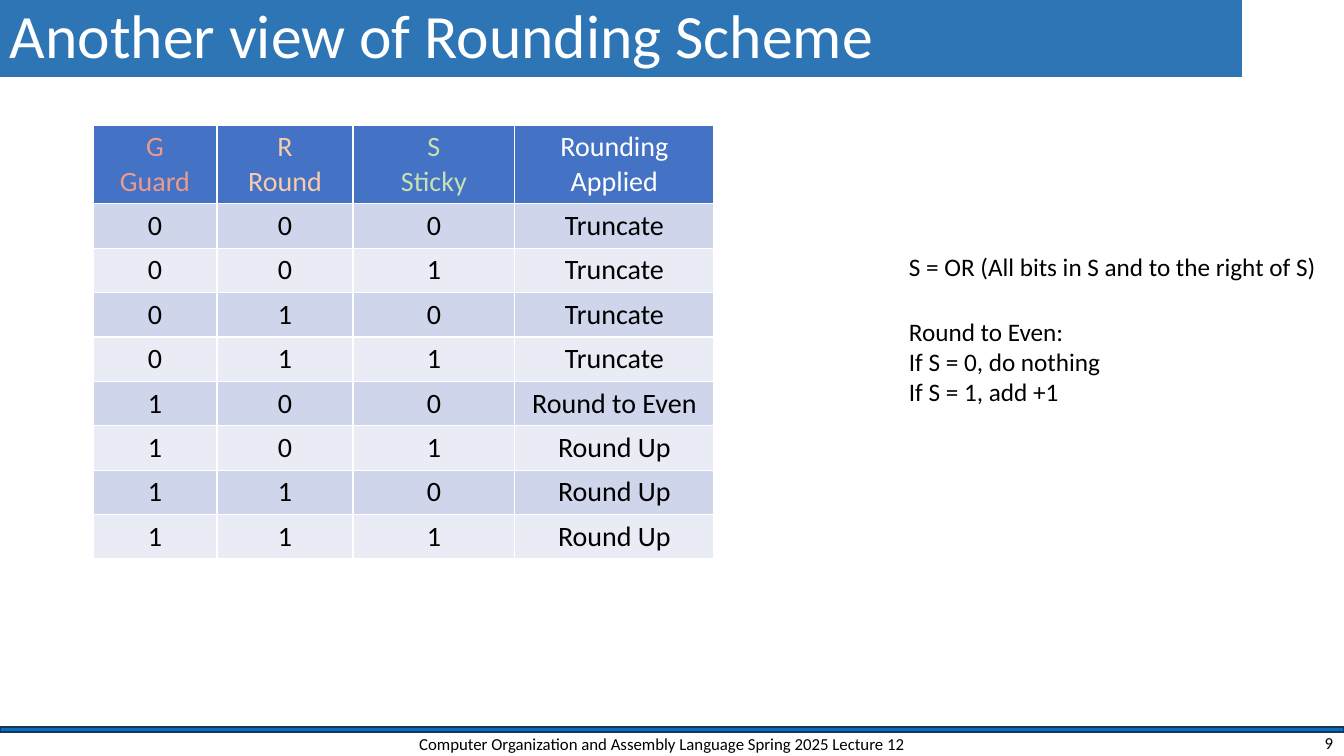
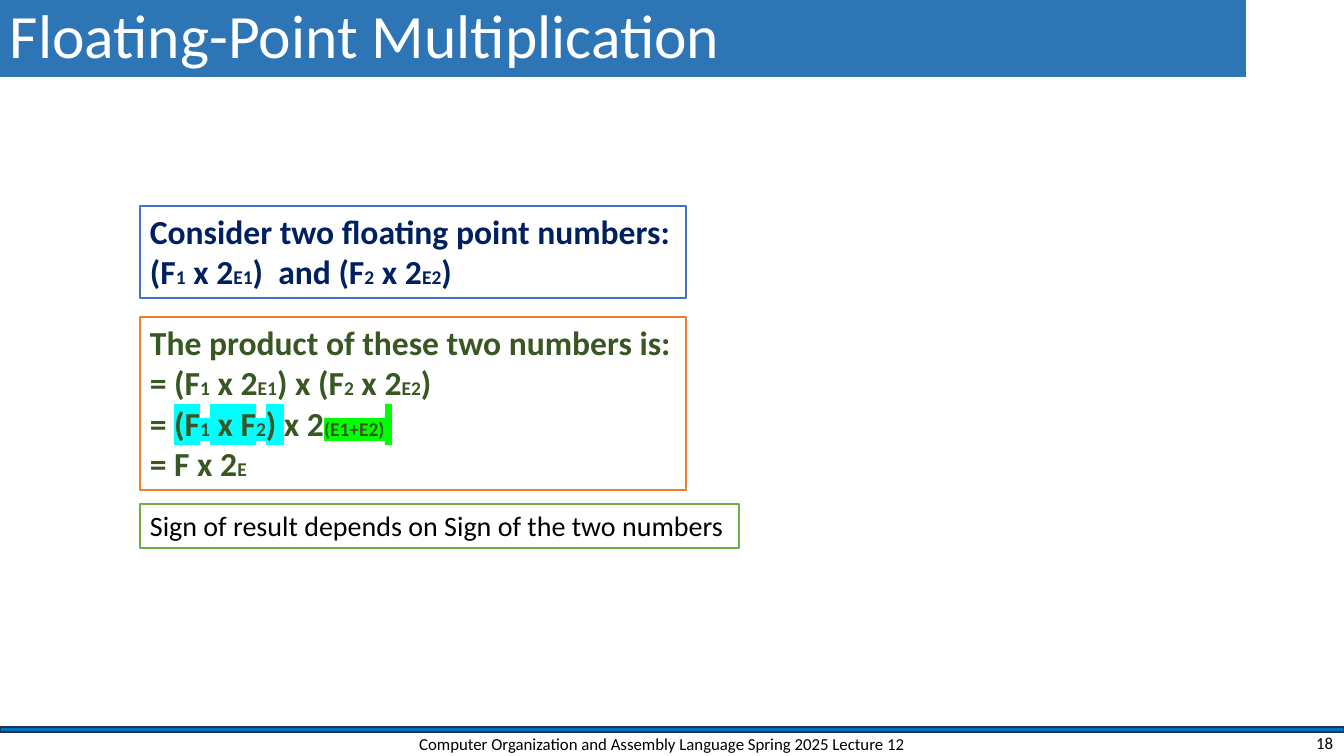
from lxml.etree import SubElement
from pptx import Presentation
from pptx.dml.color import RGBColor
from pptx.enum.shapes import MSO_SHAPE as Shape
from pptx.enum.text import MSO_ANCHOR as Anchor, MSO_AUTO_SIZE as AutoSize, PP_ALIGN as Align
from pptx.oxml.ns import qn
from pptx.util import Pt

PX = 9071  # EMU in one px, 1344 px across the slide
FONT = "Calibri"
WHITE, BLACK, NAVY, GREEN = "FFFFFF", "000000", "002060", "385723"
TITLE_BLUE, BAR_BLUE, BAR_EDGE = "2E75B6", "0070C0", "1E3256"
HEADER_BLUE, BANDS = "4472C4", ("CFD5EA", "E9EBF5")
CYAN, LIME = "00FFFF", "00FF00"
SUB, SUP = -25, 30
FOOTER = "Computer Organization and Assembly Language Spring 2025 Lecture 12"


def color(value):
    return RGBColor.from_string(value)


def add_box(slide, bounds, lines=(), size=18, text_color=BLACK, fill=None, line=None,
            bold=False, align=Align.LEFT, anchor=Anchor.TOP, wrap=False, spacing=None):
    """Each line is a string or a list of (text, baseline, highlight) runs."""
    bounds = [length * PX for length in bounds]
    if fill:
        shape = slide.shapes.add_shape(Shape.RECTANGLE, *bounds)
        shape.shadow.inherit = False
        shape.fill.solid()
        shape.fill.fore_color.rgb = color(fill)
        if line:
            shape.line.color.rgb = color(line)
            shape.line.width = Pt(1)
        else:
            shape.line.fill.background()
    else:
        shape = slide.shapes.add_textbox(*bounds)

    frame = shape.text_frame
    frame.word_wrap = wrap
    frame.vertical_anchor = anchor
    frame.auto_size = AutoSize.NONE if wrap else AutoSize.SHAPE_TO_FIT_TEXT
    for index, content in enumerate(lines):
        paragraph = frame.add_paragraph() if index else frame.paragraphs[0]
        paragraph.alignment = align
        paragraph.line_spacing = spacing
        runs = [(content, 0, None)] if isinstance(content, str) else content
        for text, baseline, highlight in runs:
            run = paragraph.add_run()
            run.text = text
            run.font.name = FONT
            run.font.size = Pt(size)
            run.font.bold = bold
            run.font.color.rgb = color(text_color)
            properties = run.font._element if hasattr(run.font, "_element") else run.font._rPr
            if baseline:
                properties.set("baseline", str(baseline))
            if highlight:
                mark = SubElement(properties, qn("a:highlight"))
                SubElement(mark, qn("a:srgbClr")).set("val", highlight)
                properties.find(qn("a:solidFill")).addnext(mark)
    return shape


presentation = Presentation()
presentation.slide_width = 1344 * PX
presentation.slide_height = 756 * PX

# Shared bar, title band and footer
slides = []
for title, title_width, number in (
    ("Another view of Rounding Scheme", 1242, "9"),
    ("Floating-Point Multiplication", 1246, "18"),
):
    slide = presentation.slides.add_slide(presentation.slide_layouts[6])
    add_box(slide, (0, 727, 1344, 5), fill=BAR_BLUE, line=BAR_EDGE, wrap=True)
    add_box(slide, (0, 0, title_width, 77), [title], 44, WHITE, fill=TITLE_BLUE,
            anchor=Anchor.MIDDLE, wrap=True, spacing=0.9)
    add_box(slide, (395, 730, 534, 28), [FOOTER], 12,
            align=Align.CENTER, anchor=Anchor.MIDDLE, wrap=True)
    add_box(slide, (1041, 730, 302, 25), [number], 12,
            align=Align.RIGHT, anchor=Anchor.MIDDLE, wrap=True)
    slides.append(slide)
rounding_slide, product_slide = slides

# Rounding table
headers = ("G\nGuard", "R\nRound", "S\nSticky", "Rounding Applied")
header_colors = ("EC9A8C", "F8CBAD", "C5E0B4", WHITE)
actions = ["Truncate"] * 4 + ["Round to Even"] + ["Round Up"] * 3
rows = [headers] + [(*f"{bits:03b}", action) for bits, action in enumerate(actions)]
column_widths = (124, 136, 162, 199)
header_height, row_height = 78, 44
table = rounding_slide.shapes.add_table(
    len(rows), len(headers), 93 * PX, 125 * PX, sum(column_widths) * PX,
    (header_height + row_height * len(actions)) * PX).table
for column, width in zip(table.columns, column_widths):
    column.width = width * PX
for row_index, row in enumerate(rows):
    table.rows[row_index].height = (row_height if row_index else header_height) * PX
    for column_index, text in enumerate(row):
        cell = table.cell(row_index, column_index)
        cell.fill.solid()
        cell.fill.fore_color.rgb = color(BANDS[(row_index - 1) % 2] if row_index else HEADER_BLUE)
        cell.text_frame.text = text
        for paragraph in cell.text_frame.paragraphs:
            paragraph.alignment = Align.CENTER
            font = paragraph.runs[0].font
            font.name = FONT
            font.size = Pt(20)
            font.bold = False
            font.color.rgb = color(BLACK if row_index else header_colors[column_index])

# Rounding notes
add_box(rounding_slide, (899, 246, 432, 40), ["S = OR (All bits in S and to the right of S)"])
add_box(rounding_slide, (899, 311, 215, 102),
        ["Round to Even:", "If S = 0, do nothing", "If S = 1, add +1"])

# Multiplication boxes
first_factor = [("1", SUB, None), (" x 2", 0, None), ("E1", SUP, None)]
second_factor = [("2", SUB, None), (" x 2", 0, None), ("E2", SUP, None), (")", 0, None)]
operands = [("(F", 0, None), *first_factor, (")  and (F", 0, None), *second_factor]
product = [("= (F", 0, None), *first_factor, (") x (F", 0, None), *second_factor]
grouped = [("= ", 0, None), ("(F", 0, CYAN), ("1", SUB, CYAN), (" x F", 0, CYAN),
           ("2", SUB, CYAN), (") ", 0, CYAN), ("x 2", 0, None),
           ("(E1+E2)", SUP, LIME), (" ", 0, LIME)]
result = [("= F x 2", 0, None), ("E", SUP, None)]
for bounds, lines, size, text_color, line, bold in (
    ((140, 206, 546, 92), ["Consider two floating point numbers:", operands],
     24, NAVY, "4472C4", True),
    ((140, 317, 546, 173), ["The product of these two numbers is:", product, grouped, result],
     24, GREEN, "ED7D31", True),
    ((140, 504, 599, 44), ["Sign of result depends on Sign of the two numbers"],
     20, BLACK, "70AD47", False),
):
    add_box(product_slide, bounds, lines, size, text_color, WHITE, line, bold)

presentation.save("out.pptx")
